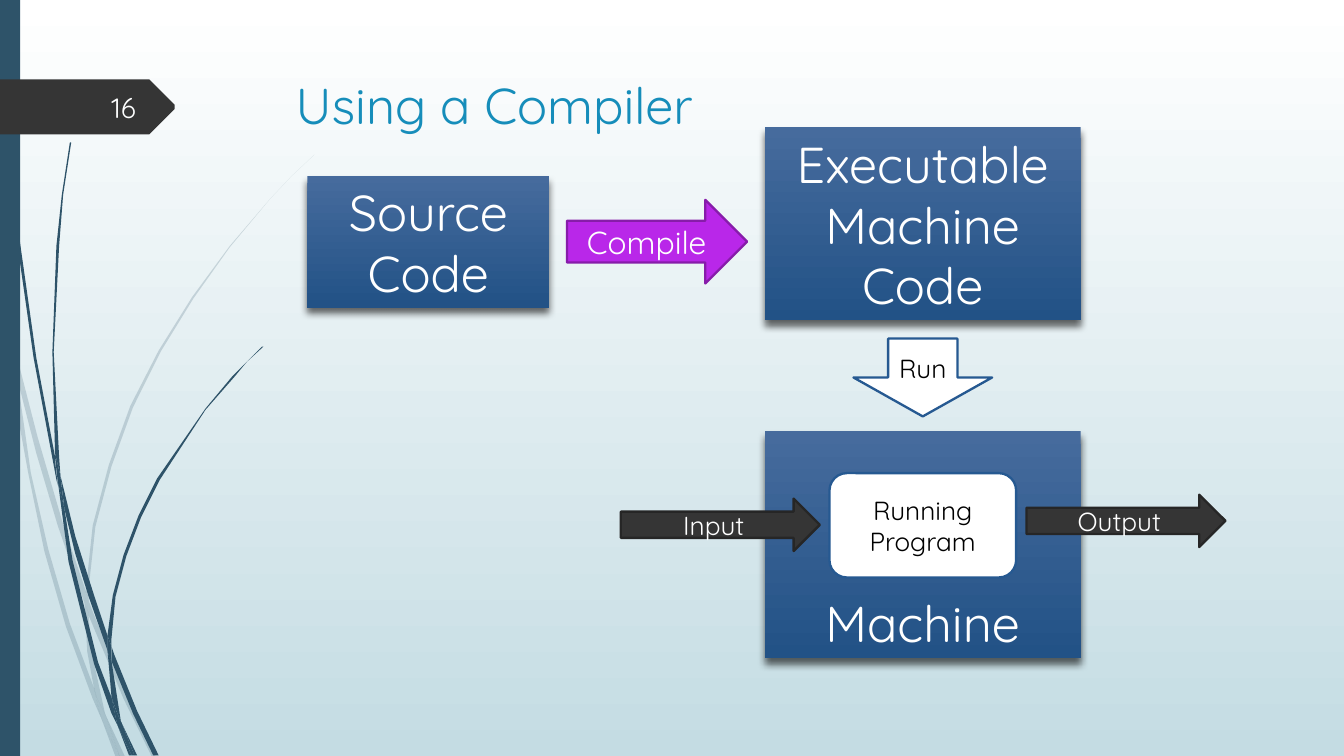
from lxml.etree import SubElement
from pptx import Presentation
from pptx.dml.color import RGBColor
from pptx.enum.shapes import MSO_SHAPE as Shape
from pptx.enum.text import MSO_ANCHOR as Anchor, MSO_AUTO_SIZE as AutoSize, PP_ALIGN as Align
from pptx.oxml.ns import qn
from pptx.util import Pt

FONT = "Quicksand"
COLORS = {
    "sky_top": "FFFFFF", "sky_bottom": "C4DCE3", "stem": "2E5369", "tab": "353535",
    "title": "168DBA", "number": "FEFFFF", "white": "FFFFFF", "black": "000000",
    "block_top": "466B9D", "block_bottom": "225286", "outline": "265991",
    "compile": "B927E9", "compile_edge": "871CAA", "flow": "353535", "flow_edge": "262626",
}
GRID = Pt(0.72)

PALE_STEMS = [
    [(8, 263), (6, 241), (0, 211), (0, 224), (8, 258)],
    [(43, 391), (63, 449), (64, 440), (47, 390), (28, 325), (11, 259), (13, 282), (27, 337)],
    [(69, 455), (66, 447), (66, 458), (92, 520), (113, 563), (116, 563), (95, 519)],
    [(89, 563), (93, 563), (79, 533)],
    [(70, 512), (52, 464), (36, 409), (23, 352), (18, 317), (13, 282), (8, 263),
     (13, 308), (21, 352), (33, 410), (49, 466), (69, 520), (76, 536), (74, 530)],
    [(63, 449), (65, 485), (70, 512), (72, 519), (79, 533), (78, 530), (68, 484),
     (66, 458), (66, 456)],
    [(66, 438), (71, 392), (83, 347), (99, 303), (120, 261), (144, 222), (171, 184),
     (201, 148), (217, 131), (234, 115), (217, 131), (201, 148), (171, 183), (143, 221),
     (118, 261), (97, 302), (81, 346), (69, 391), (64, 438), (64, 440), (66, 447)],
    [(76, 536), (86, 563), (89, 563)],
    [(66, 456), (66, 458), (66, 447), (64, 440), (63, 449)],
    [(72, 519), (70, 512), (74, 530), (76, 536), (89, 563), (79, 533)],
]
DARK_STEMS = [
    [(5, 82), (12, 175), (25, 266), (42, 357), (43, 361), (41, 343), (41, 340),
     (27, 266), (14, 174), (6, 82), (3, 36), (3, 0), (2, 0), (3, 36)],
    [(66, 444), (80, 484), (80, 475), (80, 473), (70, 443), (56, 399), (45, 354),
     (48, 379), (56, 412)],
    [(85, 487), (83, 481), (83, 492), (99, 531), (114, 562), (118, 562), (102, 529)],
    [(83, 519), (73, 493), (54, 417), (48, 379), (43, 358), (51, 418), (70, 494),
     (83, 531), (88, 541), (87, 538)],
    [(45, 354), (44, 340), (40, 262), (44, 183), (47, 145), (53, 106), (52, 106),
     (46, 145), (42, 183), (39, 262), (41, 337)],
    [(100, 562), (102, 562), (91, 539)],
    [(43, 358), (48, 379), (45, 354), (41, 337), (41, 340)],
    [(83, 475), (86, 444), (94, 414), (105, 385), (119, 357), (153, 305), (174, 281),
     (184, 269), (196, 258), (195, 258), (184, 269), (173, 280), (153, 304), (117, 356),
     (103, 384), (92, 413), (84, 443), (80, 473), (83, 481)],
    [(88, 541), (96, 562), (98, 562)],
    [(80, 484), (83, 519), (87, 530), (91, 539), (90, 537), (83, 492), (81, 488)],
    [(80, 484), (81, 488), (83, 492), (83, 481), (80, 473), (80, 475)],
    [(87, 530), (83, 519), (87, 538), (88, 541), (98, 562), (100, 562), (91, 539)],
]
PAGE_TAB = [(0, 59), (111, 59), (130, 78), (130, 81), (111, 100), (0, 100)]

TITLE = ("Using a Compiler", (153.4, 36.7, 526.3, 75.6))
NUMBER = ("16", (31.7, 46.8, 46.1, 21.6))

STYLES = {
    "block": {"fill": None, "edge": None, "ink": "white", "size": 27},
    "compile": {"fill": "compile", "edge": "compile_edge", "ink": "white", "size": 17},
    "paper": {"fill": "white", "edge": "outline", "ink": "black", "size": 14},
    "flow": {"fill": "flow", "edge": "flow_edge", "ink": "white", "size": 14},
}
DIAGRAM = [
    (["Source Code"], Shape.RECTANGLE, "block", (164.7, 94.3, 129.6, 70.6), Anchor.MIDDLE),
    (["Executable", "Machine Code"], Shape.RECTANGLE, "block", (409.7, 68.3, 169.2, 103.4),
     Anchor.MIDDLE),
    (["Compile"], Shape.RIGHT_ARROW, "compile", (303.8, 107.1, 96.5, 44.8), Anchor.MIDDLE),
    (["Machine"], Shape.RECTANGLE, "block", (409.7, 231.1, 169.2, 121.5), Anchor.BOTTOM),
    (["Run"], Shape.DOWN_ARROW, "paper", (457.2, 181.4, 74.3, 41.7), Anchor.MIDDLE),
    (["Running Program"], Shape.ROUNDED_RECTANGLE, "paper", (444.4, 253.5, 100, 55.9),
     Anchor.MIDDLE),
    (["Input"], Shape.RIGHT_ARROW, "flow", (332.6, 267.1, 106.6, 28.1), Anchor.MIDDLE),
    (["Output"], Shape.RIGHT_ARROW, "flow", (549.9, 265, 106.6, 28.1), Anchor.MIDDLE),
]


def color(name):
    return RGBColor.from_string(COLORS[name])


def assign(target, **values):
    for name, value in values.items():
        setattr(target, name, value)


def fill_gradient(fill, top, bottom):
    fill.gradient()
    fill.gradient_angle = 270
    for stop, name, position in zip(fill.gradient_stops, (top, bottom), (0, 1)):
        stop.color.rgb = color(name)
        stop.position = position


def fill_plain(shape, name, alpha=None):
    shape.shadow.inherit = False
    shape.fill.solid()
    shape.fill.fore_color.rgb = color(name)
    shape.line.fill.background()
    if alpha:
        tint = shape.fill._xPr.find(qn("a:solidFill"))[0]
        SubElement(tint, qn("a:alpha"), val=str(alpha * 1000))


def draw_outline(page, points, name, alpha=None):
    builder = page.shapes.build_freeform(*points[0], scale=GRID)
    builder.add_line_segments(points[1:], close=True)
    fill_plain(builder.convert_to_shape(), name, alpha)


def cast_shadow(shape):
    effects = shape._element.spPr.find(qn("a:effectLst"))
    shadow = SubElement(effects, qn("a:outerShdw"), blurRad=str(Pt(4)), dist=str(Pt(3)),
                        dir="5400000", algn="ctr", rotWithShape="0")
    tint = SubElement(shadow, qn("a:srgbClr"), val=COLORS["black"])
    SubElement(tint, qn("a:alpha"), val="60000")


def write(shape, lines, size, ink, align, anchor):
    frame = shape.text_frame
    assign(frame, word_wrap=True, auto_size=AutoSize.NONE, vertical_anchor=anchor,
           margin_left=Pt(5), margin_right=Pt(5), margin_top=Pt(3), margin_bottom=Pt(3))
    for index, line in enumerate(lines):
        para = frame.add_paragraph() if index else frame.paragraphs[0]
        para.alignment = align
        span = para.add_run()
        span.text = line
        assign(span.font, name=FONT, size=Pt(size))
        span.font.color.rgb = color(ink)


def draw_part(page, lines, kind, style, place, anchor):
    look = STYLES[style]
    shape = page.shapes.add_shape(kind, *map(Pt, place))
    fill_plain(shape, look["fill"] or "block_top")
    if look["edge"]:
        shape.line.color.rgb = color(look["edge"])
        shape.line.width = Pt(1.25)
    else:
        fill_gradient(shape.fill, "block_top", "block_bottom")
        cast_shadow(shape)
    write(shape, lines, look["size"], look["ink"], Align.CENTER, anchor)


def main():
    deck = Presentation()
    assign(deck, slide_width=Pt(720), slide_height=Pt(405))
    page = deck.slides.add_slide(deck.slide_layouts[5])
    fill_gradient(page.background.fill, "sky_top", "sky_bottom")

    for stems, alpha in ((PALE_STEMS, 20), (DARK_STEMS, None)):
        for points in stems:
            draw_outline(page, points, "stem", alpha)
    band = page.shapes.add_shape(Shape.RECTANGLE, 0, 0, Pt(10.8), deck.slide_height)
    fill_plain(band, "stem")
    draw_outline(page, PAGE_TAB, "tab")

    text, place = TITLE
    title = page.shapes.title
    assign(title, **dict(zip(("left", "top", "width", "height"), map(Pt, place))))
    write(title, [text], 27, "title", Align.LEFT, Anchor.TOP)
    text, place = NUMBER
    box = page.shapes.add_textbox(*map(Pt, place))
    write(box, [text], 15, "number", Align.RIGHT, Anchor.MIDDLE)

    for part in DIAGRAM:
        draw_part(page, *part)
    deck.save("out.pptx")


if __name__ == "__main__":
    main()
